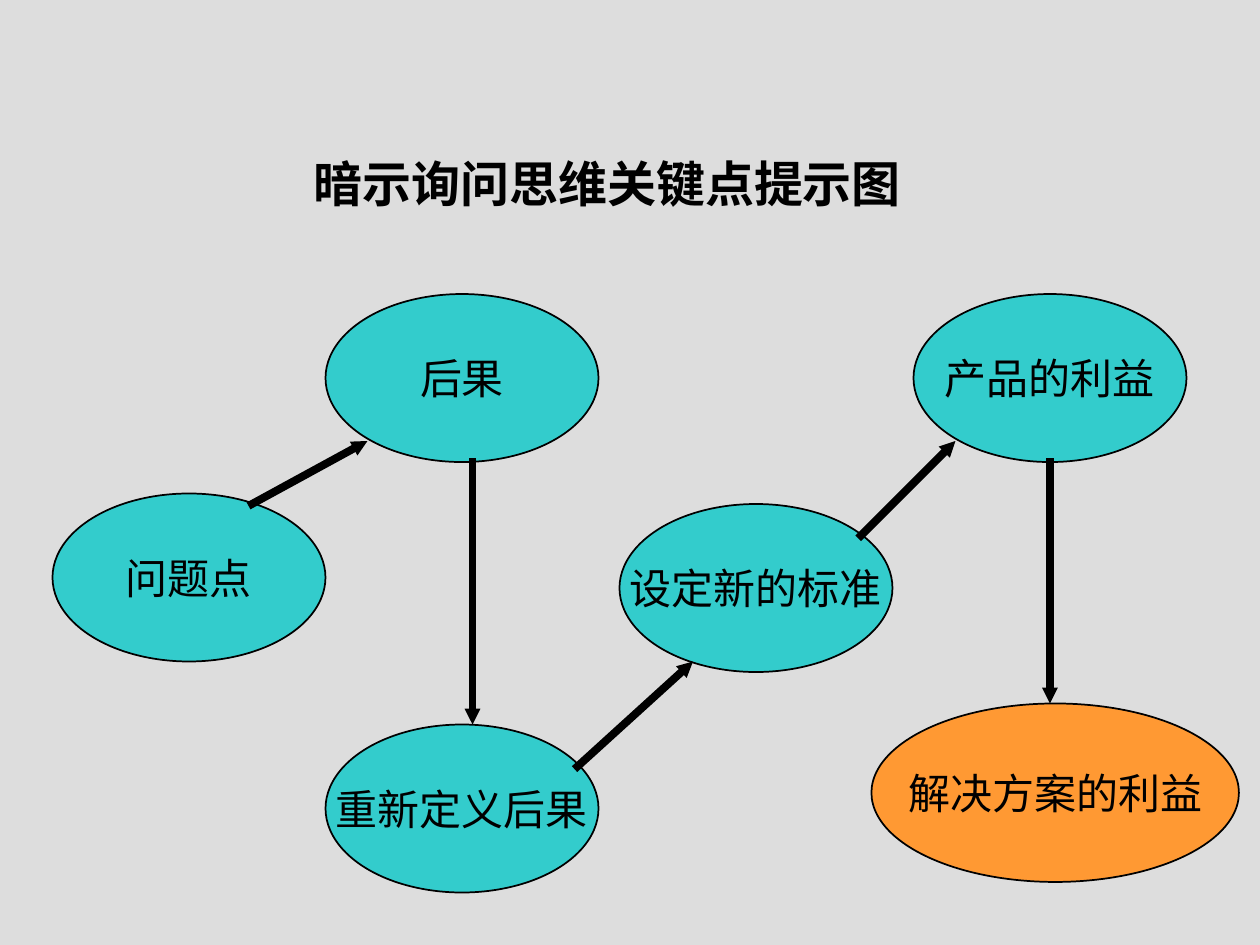
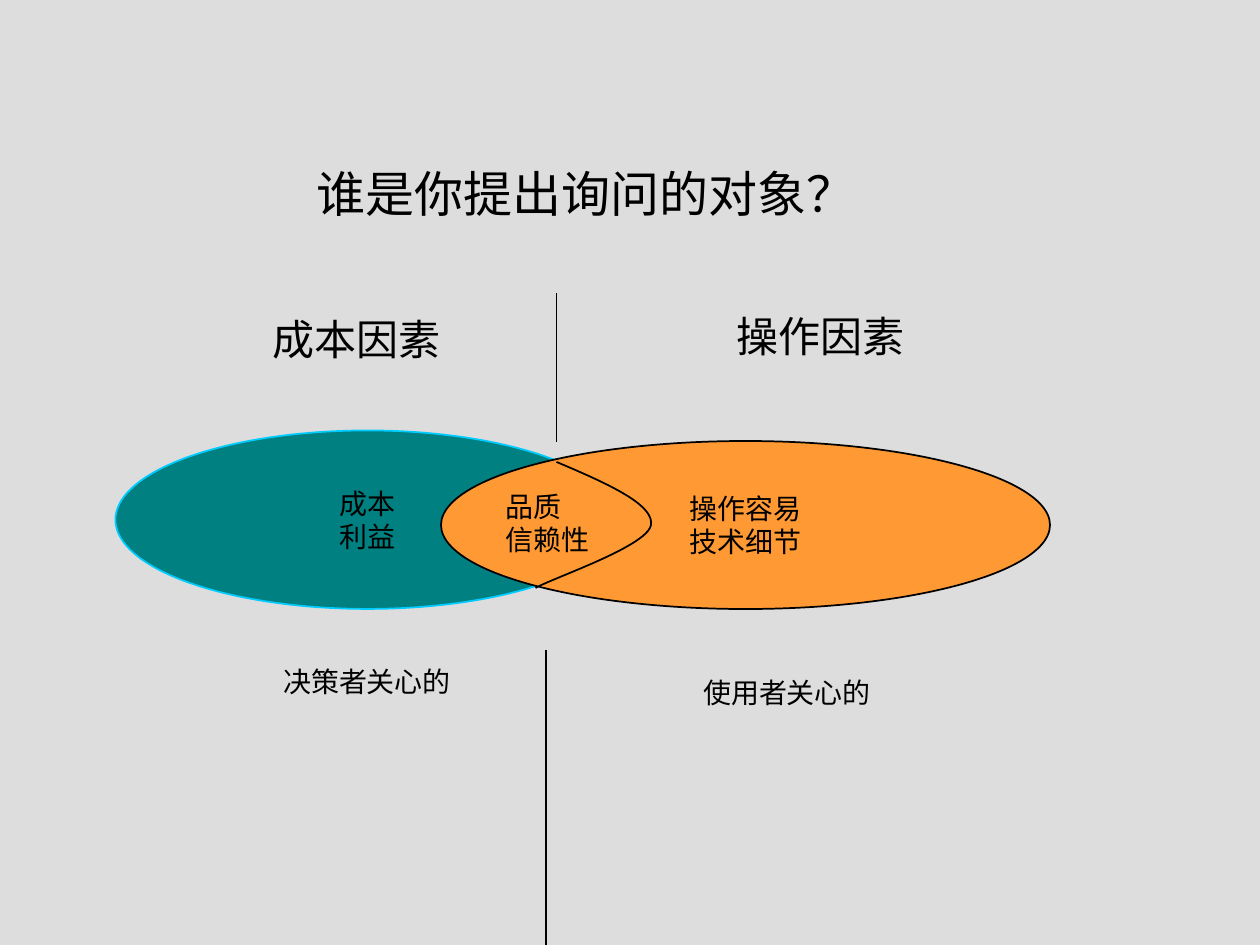
from lxml.etree import SubElement
from pptx import Presentation
from pptx.dml.color import RGBColor
from pptx.enum.shapes import MSO_CONNECTOR, MSO_SHAPE
from pptx.enum.text import MSO_ANCHOR, MSO_AUTO_SIZE, PP_ALIGN
from pptx.oxml.ns import qn
from pptx.util import Pt

PX = 7620  # 120 px to the inch
FONT = "Times New Roman"
BLACK, GREY, AQUA, TEAL, SKY, ORANGE = (
    "000000", "DDDDDD", "33CCCC", "008080", "00CCFF", "FF9933")
colour = RGBColor.from_string


def add_words(slide, words, box, size, bold=False, fill=None, outline=BLACK):
    """Add a text box, or a centred ellipse when a fill is given."""
    left, top, width, height = (n * PX for n in box)
    if fill:
        shape = slide.shapes.add_shape(MSO_SHAPE.OVAL, left, top, width, height)
        shape.shadow.inherit = False
        shape.fill.solid()
        shape.fill.fore_color.rgb = colour(fill)
        shape.line.color.rgb = colour(outline)
        shape.line.width = Pt(1)
    else:
        shape = slide.shapes.add_textbox(left, top, width, height)
    frame = shape.text_frame
    frame.text = words
    frame.word_wrap = False
    if fill:
        frame.vertical_anchor = MSO_ANCHOR.MIDDLE
    else:
        frame.auto_size = MSO_AUTO_SIZE.SHAPE_TO_FIT_TEXT
    for paragraph in frame.paragraphs:
        paragraph.alignment = PP_ALIGN.CENTER if fill else PP_ALIGN.LEFT
        paragraph.font.name = FONT
        paragraph.font.size = Pt(size)
        paragraph.font.bold = bold
        paragraph.font.color.rgb = colour(BLACK)


def add_line(slide, ends, weight, arrow=False):
    line = slide.shapes.add_connector(
        MSO_CONNECTOR.STRAIGHT, *(n * PX for n in ends))
    line.line.color.rgb = colour(BLACK)
    line.line.width = Pt(weight)
    properties = line._element.spPr
    stroke = properties.find(qn("a:ln"))
    stroke.set("cap", "sq")
    if arrow:
        SubElement(stroke, qn("a:tailEnd"), type="triangle", w="sm", len="sm")
    SubElement(properties, qn("a:effectLst"))


prs = Presentation()
prs.slide_width, prs.slide_height = 1200 * PX, 900 * PX
thinking, audience = (prs.slides.add_slide(prs.slide_layouts[6]) for _ in range(2))
for slide in (thinking, audience):
    slide.background.fill.solid()
    slide.background.fill.fore_color.rgb = colour(GREY)

# Slide 1: the chain from problem to benefit
STEP_SIZE = (260, 160)
for step, left, top in [
    ("后果", 310, 280),
    ("问题点", 50, 470),
    ("重新定义后果", 310, 690),
    ("设定新的标准", 590, 480),
    ("产品的利益", 870, 280),
]:
    add_words(thinking, step, (left, top, *STEP_SIZE), 24, fill=AQUA)
add_words(thinking, "解决方案的利益", (830, 670, 350, 170), 24, fill=ORANGE)

for ends in [
    (240, 480, 350, 420),
    (450, 440, 450, 690),
    (550, 730, 660, 630),
    (820, 510, 910, 420),
    (1000, 440, 1000, 670),
]:
    add_line(thinking, ends, 4.5, arrow=True)
add_words(thinking, "暗示询问思维关键点提示图", (287, 140, 583, 68), 28, bold=True)

# Slide 2: two overlapping groups of concerns
add_words(audience, "谁是你提出询问的对象？", (290, 150, 538, 68), 28)
add_words(audience, "成本\n利益", (110, 410, 480, 170), 16, fill=TEAL, outline=SKY)
add_words(audience, "操作容易\n技术细节", (420, 420, 580, 160), 16, fill=ORANGE)

OVERLAP_CURVES = [
    ((530, 440), (577, 460), (623, 480), (620, 500)),
    ((620, 500), (617, 520), (528, 550), (510, 560)),
]
STEPS = 24
edge = []
for curve in OVERLAP_CURVES:
    for step in range(1, STEPS + 1):
        t = step / STEPS
        weights = ((1 - t) ** 3, 3 * t * (1 - t) ** 2, 3 * t * t * (1 - t), t ** 3)
        edge.append([sum(w * n for w, n in zip(weights, axis)) * PX
                     for axis in zip(*curve)])
start_x, start_y = OVERLAP_CURVES[0][0]
builder = audience.shapes.build_freeform(start_x * PX, start_y * PX)
builder.add_line_segments(edge, close=False)
overlap = builder.convert_to_shape()
overlap.shadow.inherit = False
overlap.fill.background()
overlap.line.color.rgb = colour(BLACK)
overlap.line.width = Pt(1)

for divider in [(530, 420, 530, 280), (520, 620, 520, 900)]:
    add_line(audience, divider, 1)

for label, box, size in [
    ("成本因素", (248, 293, 185, 60), 24),
    ("操作因素", (690, 290, 185, 60), 24),
    ("品质\n信赖性", (470, 460, 108, 77), 16),
    ("决策者关心的", (258, 627, 186, 44), 16),
    ("使用者关心的", (658, 637, 186, 44), 16),
]:
    add_words(audience, label, box, size)

prs.save("out.pptx")
